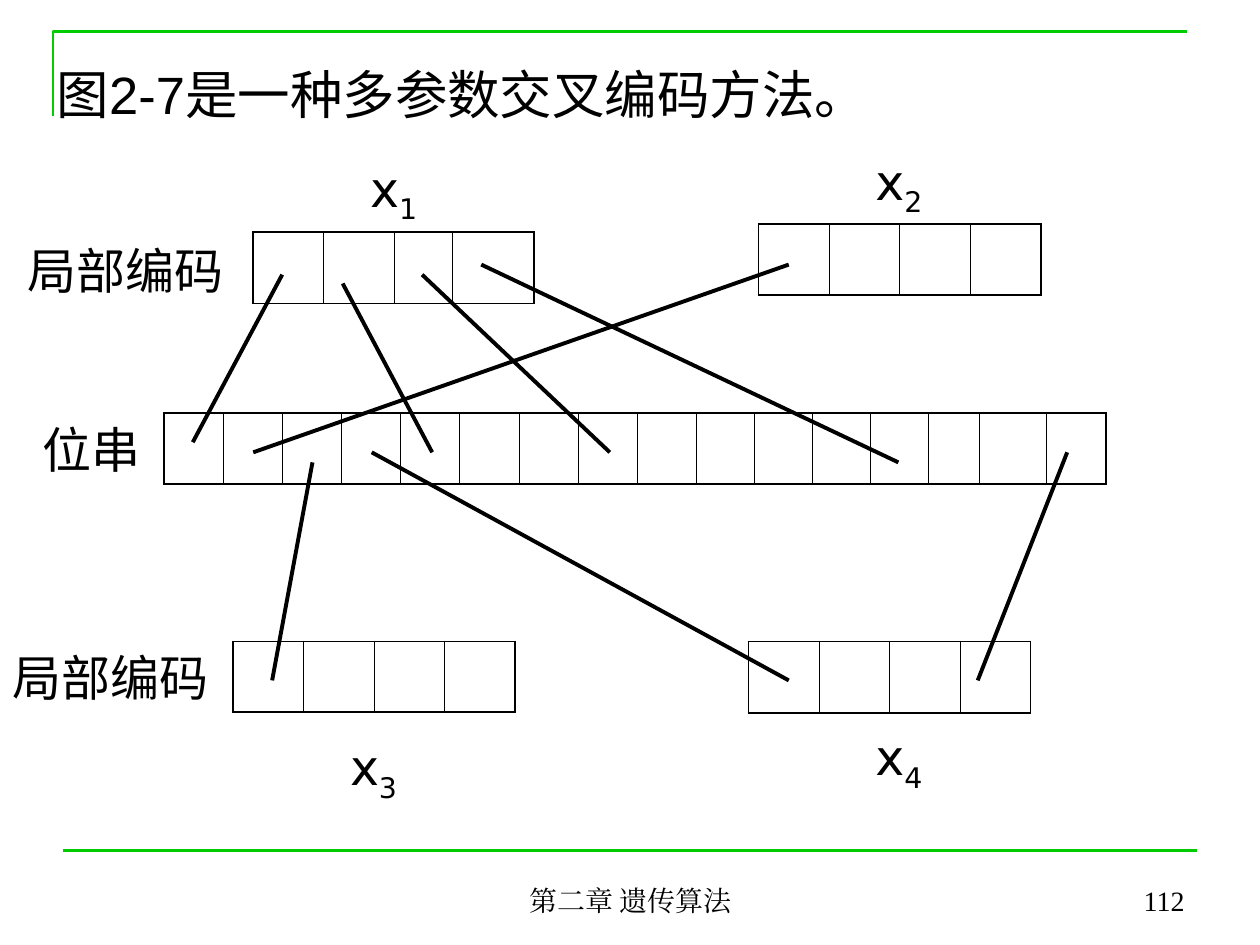
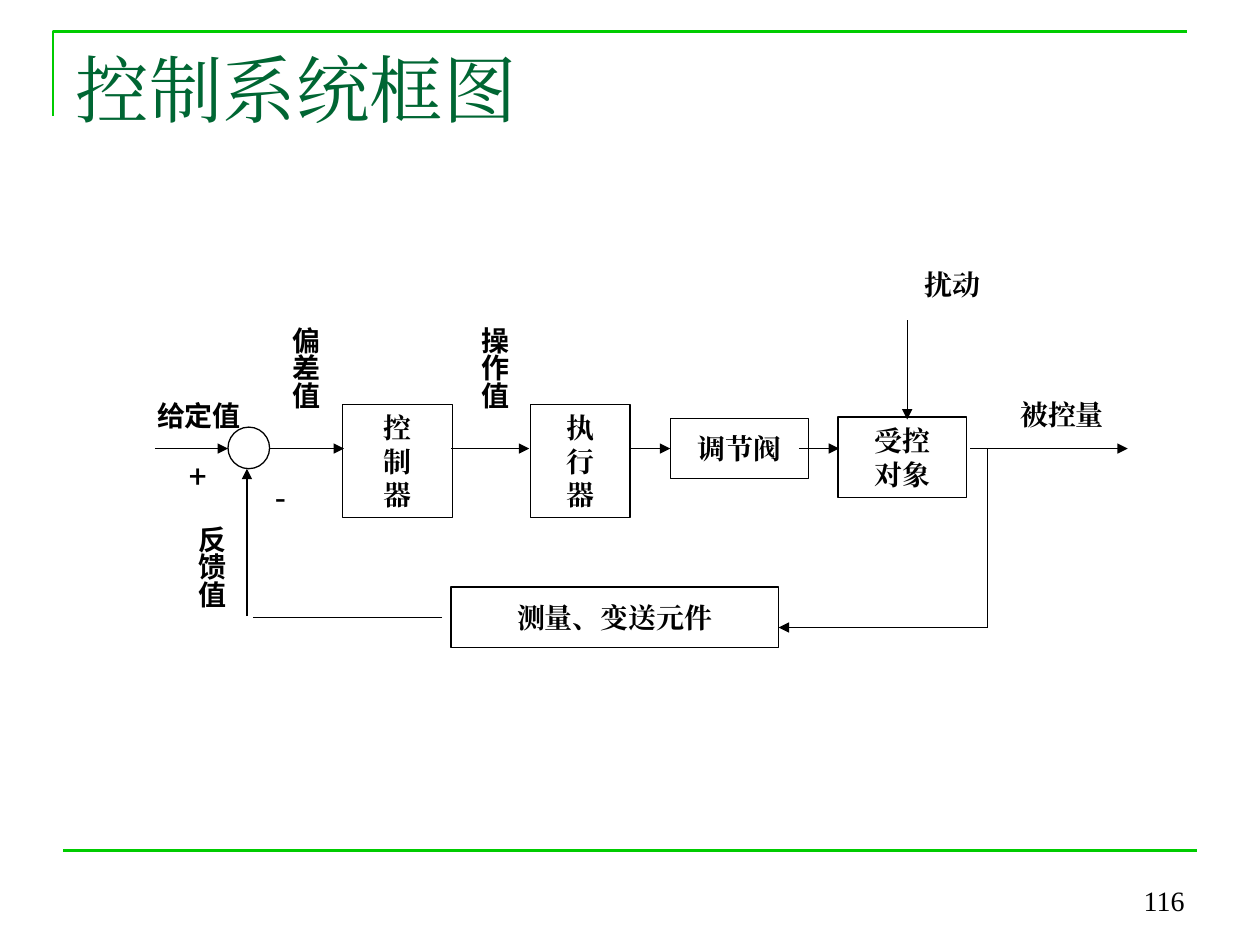
from dataclasses import dataclass
from typing import NamedTuple

from lxml import etree
from pptx import Presentation
from pptx.dml.color import RGBColor
from pptx.enum.shapes import MSO_CONNECTOR, MSO_SHAPE
from pptx.enum.text import MSO_ANCHOR, MSO_AUTO_SIZE, PP_ALIGN
from pptx.oxml.ns import qn
from pptx.util import Emu, Pt

PX = 9144
STRAIGHT = MSO_CONNECTOR.STRAIGHT
RECT, OVAL = MSO_SHAPE.RECTANGLE, MSO_SHAPE.OVAL
TOP, MIDDLE, BOTTOM = MSO_ANCHOR.TOP, MSO_ANCHOR.MIDDLE, MSO_ANCHOR.BOTTOM
LEFT, CENTER, RIGHT = PP_ALIGN.LEFT, PP_ALIGN.CENTER, PP_ALIGN.RIGHT
NO_AUTOFIT = MSO_AUTO_SIZE.NONE
TITLE_ONLY = 5
LEFT_SIDE = 1


class Type(NamedTuple):
    """A text style."""
    size: int
    font: str
    color: str = "000000"
    bold: bool = False


@dataclass(frozen=True)
class Theme:
    """Colours, type styles and line widths of the deck."""
    ink: str = "000000"
    frame: str = "00CC00"
    title: Type = Type(42, "Times New Roman", "006633")
    caption: Type = Type(30, "Arial")
    footer: Type = Type(16, "Times New Roman")
    code: Type = Type(28, "DejaVu Sans")
    block: Type = Type(16, "Times New Roman", bold=True)
    signal: Type = Type(16, "DejaVu Sans", bold=True)
    plus: Type = Type(18, "Roboto")
    minus: Type = Type(20, "Roboto")
    frame_line: float = 1.5
    link_line: float = 2.25
    flow_line: float = 0.75
    cell_edge: float = 1.08
    cell_rule: float = 0.45


def px(*values):
    """Turn px lengths into EMU."""
    return [Emu(v * PX) for v in values]


class Deck:
    """Holds the theme and the current slide and draws each kind of element."""

    def __init__(self, theme):
        self.theme = theme
        self.prs = Presentation()
        self.prs.slide_width, self.prs.slide_height = px(1000, 750)

    def slide(self, title, style, box, number, footer=None):
        """Start a slide with its title, frame and footers."""
        t = self.theme
        self.s = self.prs.slides.add_slide(self.prs.slide_layouts[TITLE_ONLY])
        sp = self.s.shapes.title
        sp.left, sp.top, sp.width, sp.height = px(*box)
        self.fill_text(sp.text_frame, [title], style, LEFT, TOP)
        self.bracket([(42, 92), (42, 25), (942, 25)])
        self.line((50, 675), (950, 675), t.frame_line, t.frame)
        if footer:
            self.text((342, 683, 317, 50), footer, t.footer, CENTER, BOTTOM)
        self.text((717, 683, 233, 50), number, t.footer, RIGHT, BOTTOM)

    def stroke(self, line, width, color):
        """Set the width and colour of a line."""
        line.width = Pt(width)
        line.color.rgb = RGBColor.from_string(color)

    def fill_text(self, tf, lines, style, align, anchor):
        """Put lines into a frame; what follows an underscore is a subscript."""
        tf.auto_size = NO_AUTOFIT
        tf.word_wrap = align != CENTER
        tf.vertical_anchor = anchor
        for i, line in enumerate(lines):
            p = tf.add_paragraph() if i else tf.paragraphs[0]
            p.alignment = align
            main_text, _, sub = line.partition("_")
            self.add_text(p, main_text, style)
            if sub:
                self.add_text(p, sub, style).set("baseline", "-25000")

    def add_text(self, p, text, style):
        """Add one run and return its properties."""
        r = p.add_run()
        r.text = text
        r.font.size = Pt(style.size)
        r.font.bold = style.bold
        r.font.color.rgb = RGBColor.from_string(style.color)
        r.font.name = style.font
        props = r._r.get_or_add_rPr()
        etree.SubElement(props, qn("a:ea")).set("typeface", style.font)
        return props

    def text(self, box, text, style, align=LEFT, anchor=TOP):
        """Add a text box with one line."""
        tf = self.s.shapes.add_textbox(*px(*box)).text_frame
        self.fill_text(tf, [text], style, align, anchor)
        return tf

    def vertical(self, box, text, style):
        """Add a text box that reads from top to bottom."""
        tf = self.text(box, text, style)
        tf.margin_left, tf.margin_top, tf.margin_right, tf.margin_bottom = px(5, 10, 5, 10)
        tf._txBody.bodyPr.set("vert", "eaVert")

    def bracket(self, points):
        """Add the open outline in the corner of the slide."""
        builder = self.s.shapes.build_freeform(*points[0], scale=PX)
        builder.add_line_segments(points[1:], close=False)
        self.outline(builder.convert_to_shape(), self.theme.frame_line, self.theme.frame)

    def outline(self, sp, width, color):
        """Leave a shape unfilled with a plain line."""
        sp.shadow.inherit = False
        sp.fill.background()
        self.stroke(sp.line, width, color)

    def block(self, kind, box, lines=()):
        """Add an outlined block with centred lines."""
        sp = self.s.shapes.add_shape(kind, *px(*box))
        self.outline(sp, self.theme.flow_line, self.theme.ink)
        self.fill_text(sp.text_frame, lines, self.theme.block, CENTER, MIDDLE)
        return sp

    def line(self, start, end, width, color, arrow=False):
        """Add a straight line or arrow."""
        sp = self.s.shapes.add_connector(STRAIGHT, *px(*start, *end))
        self.stroke(sp.line, width, color)
        if arrow:
            ln = sp._element.spPr.find(qn("a:ln"))
            etree.SubElement(ln, qn("a:tailEnd")).set("type", "triangle")
        etree.SubElement(sp._element.spPr, qn("a:effectLst"))
        return sp

    def cells(self, left, top, height, widths):
        """Add a one-row table of empty cells."""
        t = self.theme
        shape = self.s.shapes.add_table(1, len(widths), *px(left, top, sum(widths), height))
        table = shape.table
        table.first_row = table.horz_banding = False
        last = len(widths) - 1
        for i, width in enumerate(widths):
            table.columns[i].width = Emu(width * PX)
            cell = table.cell(0, i)
            edges = {"L": i == 0, "R": i == last, "T": True, "B": True}
            for side, outer in edges.items():
                self.border(cell, side, t.cell_edge if outer else t.cell_rule)
            cell.fill.background()

    def border(self, cell, side, width):
        """Draw one border of a cell."""
        ln = etree.SubElement(cell._tc.get_or_add_tcPr(), qn(f"a:ln{side}"))
        ln.set("w", str(Pt(width)))
        fill = etree.SubElement(ln, qn("a:solidFill"))
        etree.SubElement(fill, qn("a:srgbClr")).set("val", self.theme.ink)


def cross_coding(deck):
    """Build the slide on multi-parameter cross coding."""
    t = deck.theme
    deck.slide("图2-7是一种多参数交叉编码方法。", t.caption, (35, 44, 929, 90),
               "112", "第二章 遗传算法")
    even = [56] * 4
    bit_string = [47] * 9 + [46] * 4 + [41, 53, 47]
    for left, top, height, widths in [
        (602, 178, 56, even), (201, 184, 57, [56, 56, 46, 65]),
        (185, 509, 56, even), (594, 509, 57, even), (130, 328, 56, bit_string),
    ]:
        deck.cells(left, top, height, widths)
    for start, end in [
        ((224, 218), (153, 351)), ((201, 359), (626, 210)),
        ((248, 367), (216, 540)), ((295, 359), (626, 540)),
        ((335, 218), (484, 359)), ((713, 367), (382, 210)),
        ((776, 540), (847, 359)), ((272, 225), (343, 359)),
    ]:
        deck.line(start, end, t.link_line, t.ink)
    for left, top, width, label in [
        (12, 186, 189, "局部编码"), (0, 509, 189, "局部编码"), (24, 328, 130, "位串"),
        (284, 121, 130, "x_1"), (685, 115, 130, "x_2"),
        (268, 580, 130, "x_3"), (685, 572, 130, "x_4"),
    ]:
        deck.text((left, top, width, 60), label, t.code)


def control_system(deck):
    """Build the slide with the control system diagram."""
    t = deck.theme
    deck.slide("控制系统框图", t.title, (50, 30, 900, 125), "116")
    valve = deck.block(RECT, (532, 332, 110, 48), ["调节阀"])
    deck.block(OVAL, (181, 339, 33, 33))
    for box, lines in [
        ((272, 321, 87, 90), "控制器"), ((421, 321, 79, 90), "执行器"),
        ((665, 331, 102, 64), ["受控", "对象"]), ((358, 466, 260, 48), ["测量、变送元件"]),
    ]:
        deck.block(RECT, box, lines)

    axis = 356
    for x1, x2 in [(123, 181), (214, 273), (358, 420), (634, 666), (770, 895)]:
        deck.line((x1, axis), (x2, axis), t.flow_line, t.ink, arrow=True)
    to_valve = deck.line((500, axis), (532, axis), t.flow_line, t.ink, arrow=True)
    to_valve.end_connect(valve, LEFT_SIDE)
    for start, end, arrow in [
        ((720, 254), (720, 333), True), ((784, axis), (784, 498), False),
        ((784, 498), (618, 498), True), ((351, 490), (201, 490), False),
        ((196, 489), (196, 372), True),
    ]:
        deck.line(start, end, t.flow_line, t.ink, arrow)

    for box, label, style in [
        ((115, 311, 86, 37), "给定值", t.signal), ((800, 310, 86, 37), "被控量", t.block),
        ((724, 207, 64, 37), "扰动", t.block), ((140, 357, 34, 40), "+", t.plus),
    ]:
        deck.text(box, label, style, CENTER, MIDDLE)
    deck.text((209, 373, 43, 44), "-", t.minus)
    for left, top, height, label in [
        (365, 249, 92, "操作值"), (215, 249, 92, "偏差值"), (140, 407, 108, "反馈值"),
    ]:
        deck.vertical((left, top, 46, height), label, t.signal)


def main():
    """Build and save the deck."""
    deck = Deck(Theme())
    cross_coding(deck)
    control_system(deck)
    deck.prs.save("out.pptx")


if __name__ == "__main__":
    main()
